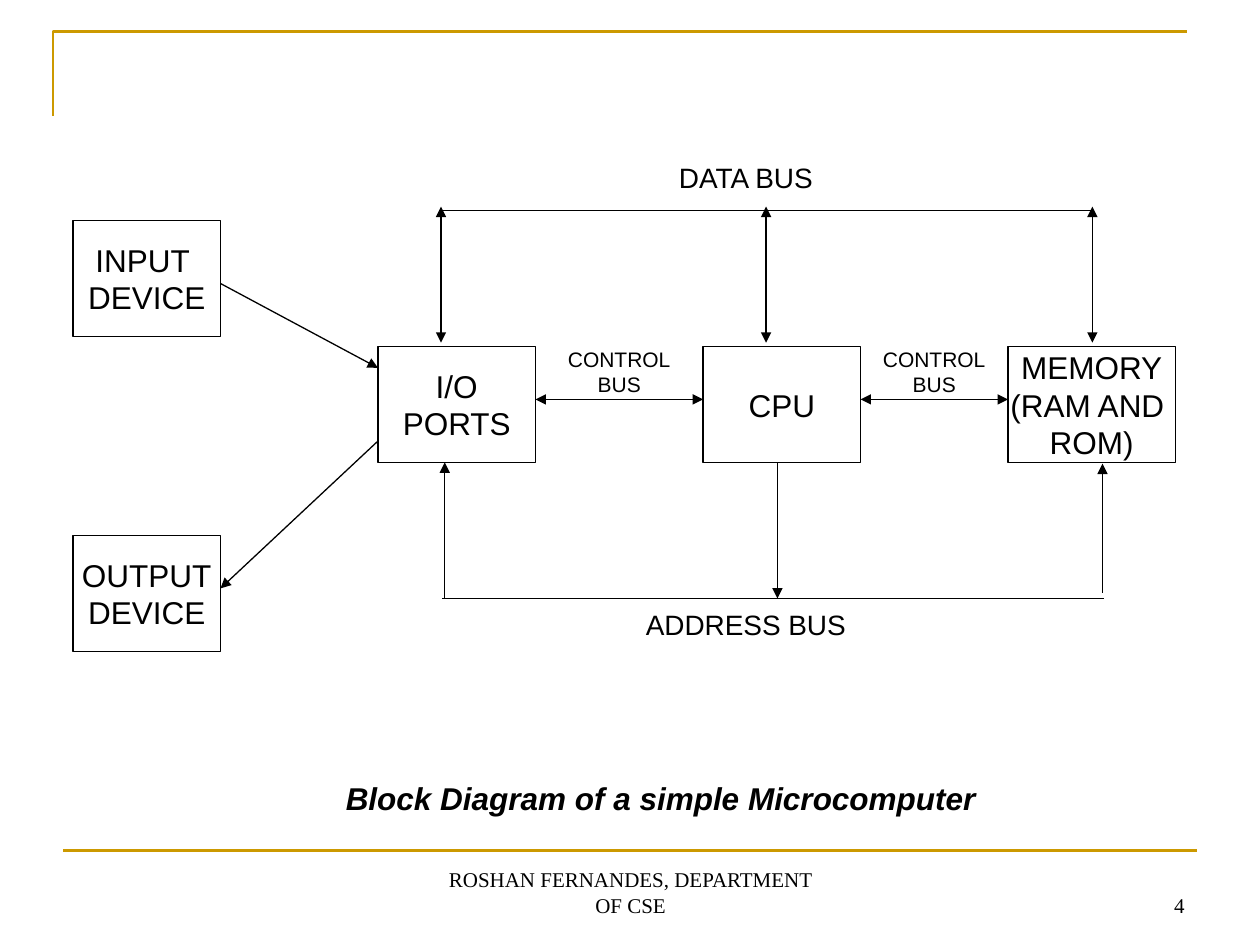
from pptx import Presentation
from pptx.dml.color import RGBColor
from pptx.enum.shapes import MSO_CONNECTOR, MSO_SHAPE
from pptx.enum.text import MSO_ANCHOR, MSO_AUTO_SIZE, PP_ALIGN
from pptx.oxml.ns import qn
from pptx.util import Inches, Pt
from lxml import etree

RECTANGLE = MSO_SHAPE.RECTANGLE
STRAIGHT = MSO_CONNECTOR.STRAIGHT
MIDDLE, BOTTOM = MSO_ANCHOR.MIDDLE, MSO_ANCHOR.BOTTOM
CENTER, RIGHT = PP_ALIGN.CENTER, PP_ALIGN.RIGHT
NO_AUTOFIT = MSO_AUTO_SIZE.NONE
TITLE_ONLY = 5

COLORS = {"ink": "000000", "paper": "FFFFFF", "gold": "CC9900"}
FORMATS = {
    "device": {"name": "Arial", "size": Pt(18)},
    "bus": {"name": "Arial", "size": Pt(16)},
    "control": {"name": "Arial", "size": Pt(12)},
    "caption": {"name": "Arial", "size": Pt(18), "bold": True, "italic": True},
    "footer": {"name": "Times New Roman", "size": Pt(12)},
}


class DiagramSlide:
    def __init__(self, slide):
        self.slide = slide
        self.shapes = slide.shapes

    def color(self, name):
        return RGBColor.from_string(COLORS[name])

    def set_text(self, shape, lines, style, align=CENTER, anchor=MIDDLE, wrap=False):
        frame = shape.text_frame
        frame.text = "\n".join(lines)
        frame.auto_size = NO_AUTOFIT
        frame.word_wrap = wrap
        frame.vertical_anchor = anchor
        for paragraph in frame.paragraphs:
            paragraph.alignment = align
            paragraph.font.color.rgb = self.color("ink")
            for attribute, value in FORMATS[style].items():
                setattr(paragraph.font, attribute, value)

    def stroke(self, line, color, width):
        line.color.rgb = self.color(color)
        line.width = Pt(width)

    def box(self, left, top, width, height, lines, style="device"):
        shape = self.shapes.add_shape(
            RECTANGLE, Inches(left), Inches(top), Inches(width), Inches(height))
        shape.shadow.inherit = False
        if style == "device":
            shape.fill.solid()
            shape.fill.fore_color.rgb = self.color("paper")
            self.stroke(shape.line, "ink", 0.75)
        else:
            shape.fill.background()
            shape.line.fill.background()
        self.set_text(shape, lines, style)

    def line(self, start, end, head=False, tail=False, color="ink", width=0.75):
        connector = self.shapes.add_connector(
            STRAIGHT, *(Inches(value) for value in (*start, *end)))
        self.stroke(connector.line, color, width)
        properties = connector._element.spPr
        outline = properties.find(qn("a:ln"))
        for tag, wanted in (("a:headEnd", head), ("a:tailEnd", tail)):
            if wanted:
                etree.SubElement(outline, qn(tag), type="triangle")
        etree.SubElement(properties, qn("a:effectLst"))

    def corner(self, points):
        first, *rest = [(Inches(x), Inches(y)) for x, y in points]
        builder = self.shapes.build_freeform(*first)
        builder.add_line_segments(rest, close=False)
        shape = builder.convert_to_shape()
        shape.shadow.inherit = False
        shape.fill.background()
        self.stroke(shape.line, "gold", 1.5)

    def caption(self, left, top, width, height, text):
        title = self.shapes.title
        title.left, title.top = Inches(left), Inches(top)
        title.width, title.height = Inches(width), Inches(height)
        self.set_text(title, [text], "caption")

    def footer(self, left, width, text, align):
        shape = self.shapes.add_textbox(
            Inches(left), Inches(6.83), Inches(width), Inches(0.5))
        self.set_text(shape, [text], "footer", align, BOTTOM, wrap=True)


def main():
    presentation = Presentation()
    presentation.slide_width, presentation.slide_height = Inches(10), Inches(7.5)
    layout = presentation.slide_layouts[TITLE_ONLY]
    diagram = DiagramSlide(presentation.slides.add_slide(layout))

    # Gold frame
    diagram.corner([(0.42, 0.92), (0.42, 0.25), (9.42, 0.25)])
    diagram.line((0.5, 6.75), (9.5, 6.75), color="gold", width=1.5)

    # Devices and units
    box_height = 0.92
    for left, top, width, lines in (
        (0.58, 1.75, 1.17, ["INPUT ", "DEVICE"]),
        (0.58, 4.25, 1.17, ["OUTPUT", "DEVICE"]),
        (3, 2.75, 1.25, ["I/O", "PORTS"]),
        (5.58, 2.75, 1.25, ["CPU"]),
        (8, 2.75, 1.33, ["MEMORY", "(RAM AND ", "ROM)"]),
    ):
        diagram.box(left, top, width, box_height, lines)

    # Data bus
    diagram.line((3.5, 1.67), (8.67, 1.67))
    for x in (3.5, 6.08, 8.67):
        diagram.line((x, 1.64), (x, 2.72), head=True, tail=True)

    # Address bus
    diagram.line((3.51, 4.75), (8.76, 4.75))
    diagram.line((6.17, 3.67), (6.17, 4.75), tail=True)
    diagram.line((3.53, 3.67), (3.53, 4.75), head=True)
    diagram.line((8.75, 3.68), (8.75, 4.71), head=True)

    # Input and output arrows
    diagram.line((1.75, 2.25), (3, 2.92), tail=True)
    diagram.line((3, 3.5), (1.75, 4.67), tail=True)

    # Control buses
    for start, end, label_left in ((4.25, 5.58, 4.5), (6.83, 8, 7)):
        diagram.line((start, 3.17), (end, 3.17), head=True, tail=True)
        diagram.box(label_left, 2.74, 0.83, 0.42, ["CONTROL", "BUS"], "control")

    # Bus names
    for top, name in ((4.83, "ADDRESS BUS"), (1.28, "DATA BUS")):
        diagram.box(4.92, top, 2, 0.25, [name], "bus")

    # Caption and footer
    diagram.caption(1.58, 6.17, 7.33, 0.33, "Block Diagram of a simple Microcomputer")
    diagram.footer(3.42, 3.17, "ROSHAN FERNANDES, DEPARTMENT OF CSE", CENTER)
    diagram.footer(7.17, 2.33, "4", RIGHT)

    presentation.save("out.pptx")


if __name__ == "__main__":
    main()
